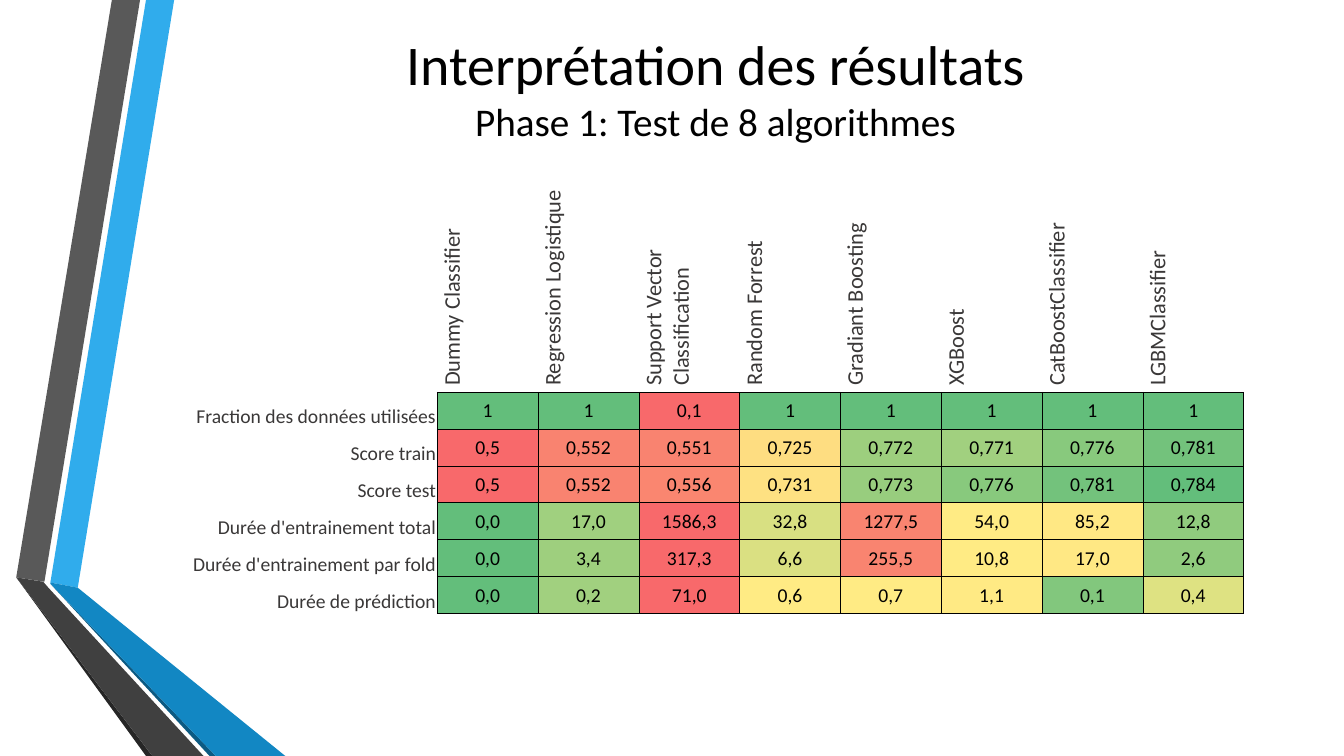
from dataclasses import dataclass

from lxml.etree import SubElement
from pptx import Presentation
from pptx.dml.color import RGBColor
from pptx.enum.text import MSO_ANCHOR, MSO_AUTO_SIZE, PP_ALIGN
from pptx.oxml.ns import qn
from pptx.util import Cm, Pt

FONT = "Calibri"
COLORS = {
    "black": "000000", "label": "3A3838",
    "sky": "30ACEC", "gray": "595959", "ink": "262626",
    "navy": "0C5A82", "blue": "1287C3", "coal": "404040",
    "low": "F8696B", "mid": "FFEB84", "high": "63BE7B",
}


@dataclass
class Ribbon:
    color: str
    points: list[tuple[float, float]]  # centimetres


@dataclass
class Metric:
    label: str
    values: str
    levels: list[float]  # -1 red, 0 yellow, 1 green


RIBBONS = [
    Ribbon("sky", [(1.27, 14.68), (1.96, 14.81), (4.39, 0), (3.68, 0)]),
    Ribbon("gray", [(3.53, 0), (2.82, 0), (0.41, 14.55), (1.12, 14.66)]),
    Ribbon("ink", [(0.41, 14.55), (3.68, 19.05), (3.84, 19.05)]),
    Ribbon("navy", [(1.27, 14.71), (5.28, 19.05), (5.44, 19.05)]),
    Ribbon("blue", [(1.27, 14.71), (5.44, 19.05), (7.19, 19.05), (1.96, 14.81), (1.27, 14.68)]),
    Ribbon("coal", [(5.13, 19.05), (1.22, 14.81), (1.09, 14.66), (0.41, 14.55), (3.84, 19.05)]),
]

ALGORITHMS = [
    "Dummy Classifier", "Regression Logistique", "Support Vector\nClassification",
    "Random Forrest", "Gradiant Boosting", "XGBoost", "CatBoostClassifier", "LGBMClassifier",
]

METRICS = [
    Metric("Fraction des données utilisées", "1 1 0,1 1 1 1 1 1",
           [1, 1, -1, 1, 1, 1, 1, 1]),
    Metric("Score train", "0,5 0,552 0,551 0,725 0,772 0,771 0,776 0,781",
           [-1, -0.8, -0.8, -0.11, 0.63, 0.6, 0.76, 0.9]),
    Metric("Score test", "0,5 0,552 0,556 0,731 0,773 0,776 0,781 0,784",
           [-1, -0.8, -0.78, -0.08, 0.66, 0.76, 0.9, 1]),
    Metric("Durée d'entrainement total", "0,0 17,0 1586,3 32,8 1277,5 54,0 85,2 12,8",
           [1, 0.61, -1, 0.25, -0.79, 0, -0.02, 0.71]),
    Metric("Durée d'entrainement par fold", "0,0 3,4 317,3 6,6 255,5 10,8 17,0 2,6",
           [1, 0.62, -1, 0.24, -0.79, 0, -0.02, 0.71]),
    Metric("Durée de prédiction", "0,0 0,2 71,0 0,6 0,7 1,1 0,1 0,4",
           [1, 0.6, -1, 0, 0, -0.01, 0.8, 0.21]),
]


def rgb(name: str) -> RGBColor:
    return RGBColor.from_string(COLORS[name])


def heat(level: float) -> RGBColor:
    """Blend from yellow towards green (positive) or red (negative)."""
    end = rgb("high" if level > 0 else "low")
    return RGBColor(*(round(a + (b - a) * abs(level)) for a, b in zip(rgb("mid"), end)))


def add_run(p, text: str, size: float, color: str) -> None:
    r = p.add_run()
    r.text = text
    r.font.name = FONT
    r.font.size = Pt(size)
    r.font.color.rgb = rgb(color)


def add_ribbon(s, ribbon: Ribbon) -> None:
    points = [(Cm(x), Cm(y)) for x, y in ribbon.points]
    builder = s.shapes.build_freeform(*points[0])
    builder.add_line_segments(points[1:], close=True)
    sp = builder.convert_to_shape()
    sp.shadow.inherit = False
    sp.fill.solid()
    sp.fill.fore_color.rgb = rgb(ribbon.color)
    sp.line.fill.background()


def set_title(s) -> None:
    sp = s.shapes.title
    sp.element.getparent().append(sp.element)  # in front of the ribbons
    sp.left, sp.top, sp.width, sp.height = Cm(4.11), Cm(-0.25), Cm(27.84), Cm(4.88)
    tf = sp.text_frame
    tf.word_wrap = True
    tf.auto_size = MSO_AUTO_SIZE.NONE
    tf.vertical_anchor = MSO_ANCHOR.MIDDLE
    p = tf.paragraphs[0]
    p.alignment = PP_ALIGN.CENTER
    add_run(p, "Interprétation des résultats", 40, "black")
    p.add_line_break()
    add_run(p, "Phase 1: Test de 8 algorithmes", 28, "black")


def set_borders(cell, sides: str) -> None:
    tc_pr = cell._tc.get_or_add_tcPr()
    for i, side in enumerate("LRTB"):
        ln = SubElement(tc_pr, qn(f"a:ln{side}"), w=str(Pt(0.5)))
        if side in sides:
            fill = SubElement(ln, qn("a:solidFill"))
            SubElement(fill, qn("a:srgbClr"), val=COLORS["black"])
        else:
            SubElement(ln, qn("a:noFill"))
        tc_pr.insert(i, ln)


def fill_cell(cell, text: str, size: float, color: str, align: PP_ALIGN,
              anchor: MSO_ANCHOR, sides: str, level: float | None = None):
    cell.margin_left = cell.margin_right = cell.margin_top = Cm(0.03)
    cell.margin_bottom = 0
    cell.vertical_anchor = anchor
    if level is None:
        cell.fill.background()
    else:
        cell.fill.solid()
        cell.fill.fore_color.rgb = heat(level)
    set_borders(cell, sides)
    p = cell.text_frame.paragraphs[0]
    p.alignment = align
    for i, line in enumerate(text.split("\n") if text else []):
        if i:
            p.add_line_break()
        add_run(p, line, size, color)
    return p


def add_results(s) -> None:
    n_rows, n_cols = len(METRICS) + 1, len(ALGORITHMS) + 1
    frame = s.shapes.add_table(n_rows, n_cols, Cm(4.7), Cm(4.62), Cm(26.64), Cm(10.84))
    table = frame.table
    table.first_row = table.horz_banding = False
    for i, column in enumerate(table.columns):
        column.width = Cm(2.54 if i else 6.32)
    for i, row in enumerate(table.rows):
        row.height = Cm(0.93 if i else 5.26)

    # Vertical headings
    fill_cell(table.cell(0, 0), "", 16, "label", PP_ALIGN.LEFT, MSO_ANCHOR.MIDDLE, "")
    for col, name in enumerate(ALGORITHMS, 1):
        cell = table.cell(0, col)
        p = fill_cell(cell, name, 16, "label", PP_ALIGN.LEFT, MSO_ANCHOR.MIDDLE, "B")
        p._p.get_or_add_pPr().set("marL", str(Cm(0.13)))
        cell._tc.get_or_add_tcPr().set("vert", "vert270")

    # Labels and heat map
    for row, metric in enumerate(METRICS, 1):
        fill_cell(table.cell(row, 0), metric.label, 14, "label",
                  PP_ALIGN.RIGHT, MSO_ANCHOR.BOTTOM, "R")
        for col, (value, level) in enumerate(zip(metric.values.split(), metric.levels), 1):
            fill_cell(table.cell(row, col), value, 14, "black",
                      PP_ALIGN.CENTER, MSO_ANCHOR.MIDDLE, "LRTB", level)


def main() -> None:
    prs = Presentation()
    prs.slide_width, prs.slide_height = Cm(33.87), Cm(19.05)
    s = prs.slides.add_slide(prs.slide_layouts[5])
    for ribbon in RIBBONS:
        add_ribbon(s, ribbon)
    set_title(s)
    add_results(s)
    prs.save("out.pptx")


if __name__ == "__main__":
    main()
